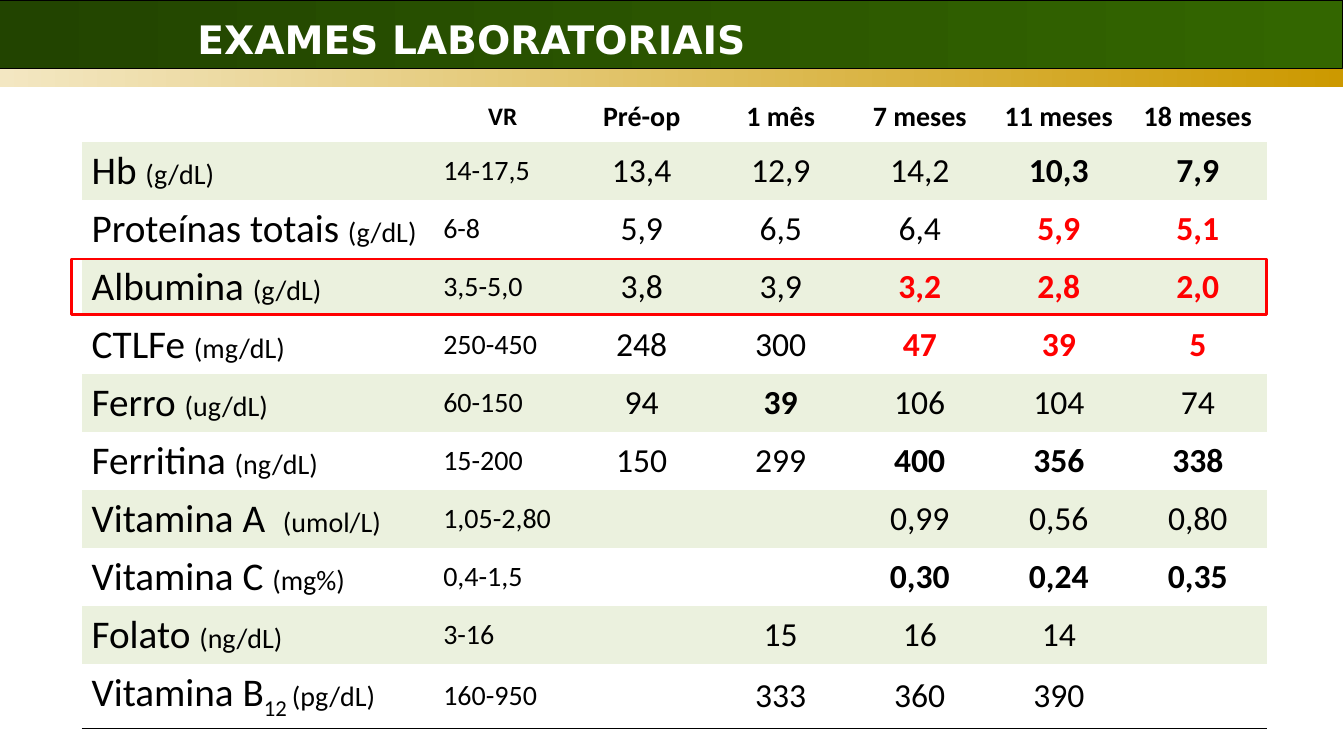
from lxml import etree
from pptx import Presentation, util as u
from pptx.dml.color import RGBColor
from pptx.enum import shapes, text
from pptx.oxml import parse_xml
from pptx.oxml.ns import nsdecls, qn

BLACK, WHITE, RED, BAND = "000000", "FFFFFF", "FF0000", "EBF1DE"
PLAIN_TABLE_STYLE = "{2D5ABB26-0587-4C30-8999-92F81FD0307C}"
COLUMN_WIDTHS = [3.49] + [1.38] * 6
ROW_HEIGHTS = [0.5] + [0.57] * 9 + [0.63]
HEADINGS = ["", "VR", "Pré-op", "1 mês", "7 meses", "11 meses", "18 meses"]
# Name, subscript, unit, reference range, values ("*" is bold, "!" is bold red)
EXAMS = [
    ("Hb ", "", "(g/dL)", "14-17,5", "13,4", "12,9", "14,2", "*10,3", "*7,9"),
    ("Proteínas totais ", "", "(g/dL)", "6-8", "5,9", "6,5", "6,4", "!5,9", "!5,1"),
    ("Albumina ", "", "(g/dL)", "3,5-5,0", "3,8", "3,9", "!3,2", "!2,8", "!2,0"),
    ("CTLFe ", "", "(mg/dL)", "250-450", "248", "300", "!47", "!39", "!5"),
    ("Ferro ", "", "(ug/dL)", "60-150", "94", "*39", "106", "104", "74"),
    ("Ferritina ", "", "(ng/dL)", "15-200", "150", "299", "*400", "*356", "*338"),
    ("Vitamina A  ", "", "(umol/L)", "1,05-2,80", "", "", "0,99", "0,56", "0,80"),
    ("Vitamina C ", "", "(mg%)", "0,4-1,5", "", "", "*0,30", "*0,24", "*0,35"),
    ("Folato ", "", "(ng/dL)", "3-16", "", "15", "16", "14", ""),
    ("Vitamina B", "12 ", "(pg/dL)", "160-950", "", "333", "360", "390", ""),
]


def rgb(value):
    return RGBColor.from_string(value)


def add_text(paragraph, content, size=24, color=BLACK, bold=False,
             font="Calibri", center=False, baseline=0):
    paragraph.alignment = text.PP_ALIGN.CENTER if center else text.PP_ALIGN.LEFT
    run = paragraph.add_run()
    run.text = content
    run.font.size = u.Pt(size)
    run.font.bold = bold
    run.font.name = font
    run.font.color.rgb = rgb(color)
    if baseline:
        run._r.get_or_add_rPr().set("baseline", str(baseline * 1000))
    return run


def add_rectangle(slide, box, gradient=None, line=None, width=0.75):
    shape = slide.shapes.add_shape(shapes.MSO_SHAPE.RECTANGLE, *map(u.Inches, box))
    shape.shadow.inherit = False
    if gradient:
        shape.fill.gradient()
        shape.fill.gradient_angle = 0
        for stop, color, position in zip(shape.fill.gradient_stops, gradient, (0, 1)):
            stop.color.rgb = rgb(color)
            stop.position = position
    else:
        shape.fill.background()
    if line:
        shape.line.color.rgb = rgb(line)
        shape.line.width = u.Pt(width)
    else:
        shape.line.fill.background()
    return shape


def add_header(slide, left, top, width):
    # Gold strip under the green band
    add_rectangle(slide, (left, top + 0.68, width, 0.18), ("F3E7C2", "CC9900"))
    add_rectangle(slide, (left, top, width, 0.68), ("224400", "336600"), BLACK)

    # Title, brought in front of the band
    title = slide.shapes.title
    title.left, title.top = u.Inches(left + 1.86), u.Inches(top + 0.1)
    title.width, title.height = u.Inches(8.58), u.Inches(0.57)
    slide.shapes._spTree.append(title._element)
    frame = title.text_frame
    frame.word_wrap = True
    frame.auto_size = text.MSO_AUTO_SIZE.NONE
    frame.vertical_anchor = text.MSO_ANCHOR.MIDDLE
    run = add_text(frame.paragraphs[0], "EXAMES LABORATORIAIS", size=28,
                   color=WHITE, bold=True, font="DejaVu Sans")
    shadow = parse_xml(
        f'<a:effectLst {nsdecls("a")}><a:outerShdw dist="25400" dir="2700000">'
        f'<a:srgbClr val="{BLACK}"/></a:outerShdw></a:effectLst>')
    run._r.get_or_add_rPr().find(qn("a:solidFill")).addnext(shadow)


def add_bottom_border(cell):
    border = parse_xml(
        f'<a:lnB {nsdecls("a")} w="5715"><a:solidFill>'
        f'<a:srgbClr val="{BLACK}"/></a:solidFill></a:lnB>')
    cell._tc.get_or_add_tcPr().insert(0, border)


def fill_exam_row(cells, exam):
    name, subscript, unit, reference, *values = exam
    label = cells[0].text_frame.paragraphs[0]
    add_text(label, name, size=28)
    if subscript:
        add_text(label, subscript, size=28, baseline=-25)
    add_text(label, unit, size=20)
    add_text(cells[1].text_frame.paragraphs[0], reference, size=20)
    for cell, value in zip(cells[2:], values):
        if value:
            add_text(cell.text_frame.paragraphs[0], value.lstrip("*!"), center=True,
                     bold=value[0] in "*!", color=RED if value[0] == "!" else BLACK)


def add_exam_table(slide, left, top):
    frame = slide.shapes.add_table(
        len(ROW_HEIGHTS), len(COLUMN_WIDTHS), u.Inches(left), u.Inches(top),
        u.Inches(sum(COLUMN_WIDTHS)), u.Inches(sum(ROW_HEIGHTS)))
    table = frame.table
    table.first_row = table.horz_banding = False
    table._tbl.tblPr.find(qn("a:tableStyleId")).text = PLAIN_TABLE_STYLE
    for column, width in zip(table.columns, COLUMN_WIDTHS):
        column.width = u.Inches(width)

    # Banding and bottom rule
    for index, (row, height) in enumerate(zip(table.rows, ROW_HEIGHTS)):
        row.height = u.Inches(height)
        for cell in row.cells:
            cell.vertical_anchor = text.MSO_ANCHOR.MIDDLE
            if index % 2:
                cell.fill.solid()
                cell.fill.fore_color.rgb = rgb(BAND)
            else:
                cell.fill.background()
            if index == len(ROW_HEIGHTS) - 1:
                add_bottom_border(cell)

    # Headings and exams
    for cell, heading in zip(table.rows[0].cells, HEADINGS):
        if heading:
            add_text(cell.text_frame.paragraphs[0], heading, bold=True, center=True,
                     size=18 if heading == "VR" else 20)
    for index, exam in enumerate(EXAMS, start=1):
        fill_exam_row(list(table.rows[index].cells), exam)


def main():
    presentation = Presentation()
    presentation.slide_width = u.Inches(13.34)
    presentation.slide_height = u.Inches(7.5)
    slide = presentation.slides.add_slide(presentation.slide_layouts[5])
    add_exam_table(slide, 0.81, 0.91)
    add_header(slide, 0, 0, 13.33)
    # Frame around the albumin row
    add_rectangle(slide, (0.71, 2.57, 11.86, 0.55), line=RED, width=2)
    presentation.save("out.pptx")


if __name__ == "__main__":
    main()
